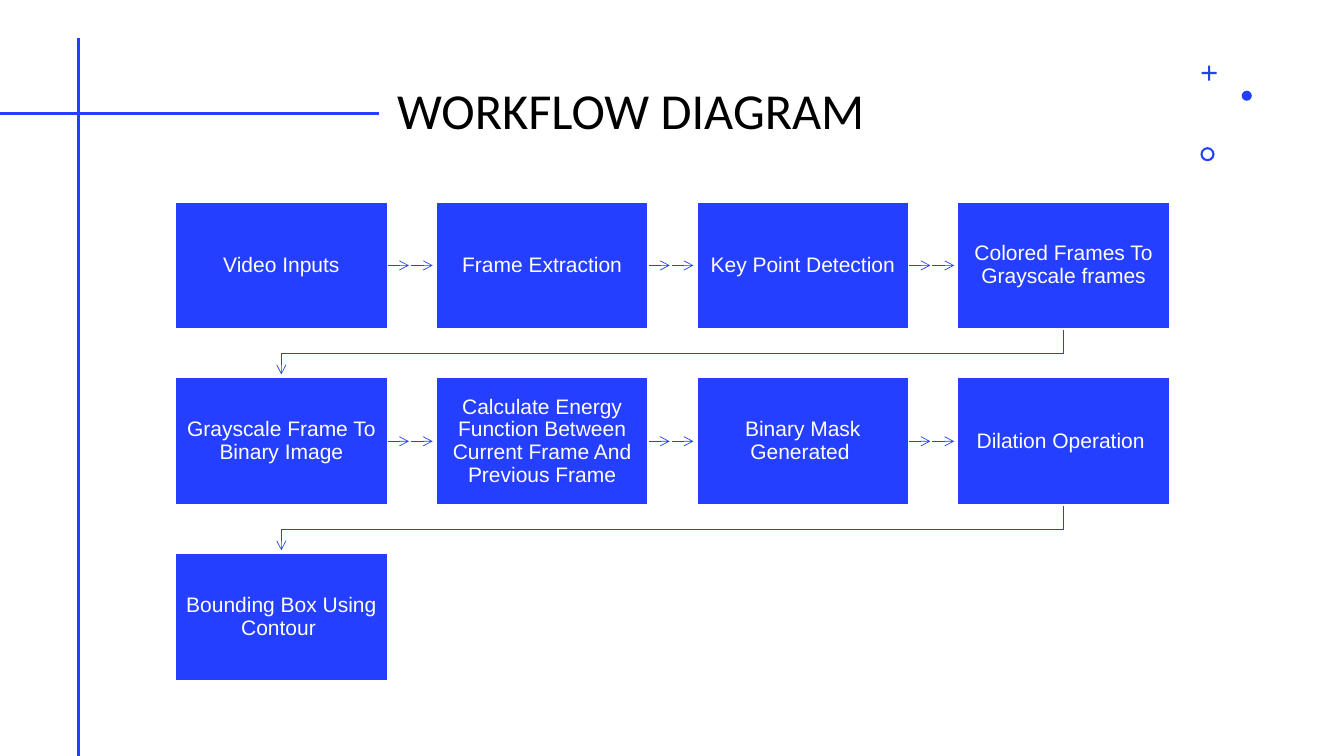
from dataclasses import dataclass

from lxml import etree
from pptx import Presentation
from pptx.dml.color import RGBColor
from pptx.enum import shapes, text
from pptx.oxml.ns import qn
from pptx.util import Pt


@dataclass(frozen=True)
class Theme:
    blue: RGBColor = RGBColor(0x24, 0x3F, 0xFF)
    white: RGBColor = RGBColor(0xFF, 0xFF, 0xFF)
    black: RGBColor = RGBColor(0, 0, 0)
    title_font: str = "Calibri"
    step_font: str = "Arial"
    title_size: float = 36
    step_size: float = 15
    rule_width: float = 2
    arrow_width: float = 0.5


@dataclass(frozen=True)
class Grid:
    left: float = 125.28
    top: float = 144.2
    width: float = 151.4
    height: float = 90.8
    column_pitch: float = 186.24
    row_pitch: float = 125.64
    columns: int = 4

    def corner(self, index: int) -> tuple[float, float]:
        row, column = divmod(index, self.columns)
        return self.left + column * self.column_pitch, self.top + row * self.row_pitch


@dataclass(frozen=True)
class Ornament:
    preset: shapes.MSO_SHAPE
    left: float
    top: float
    size: float
    adjustment: float | None = None


THEME = Theme()
GRID = Grid()
ARROW_SPANS = ((0, 15.4), (16.9, 32.4))
TURN_DROP, TURN_END = 17.6, 32.4

STEPS = (
    "Video Inputs",
    "Frame Extraction",
    "Key Point Detection",
    "Colored Frames To Grayscale frames",
    "Grayscale Frame To Binary Image",
    "Calculate Energy Function Between Current Frame And Previous Frame",
    "Binary Mask Generated ",
    "Dilation Operation ",
    "Bounding Box Using Contour ",
)

ORNAMENTS = (
    Ornament(shapes.MSO_SHAPE.CROSS, 858.3, 46.8, 10.8, 0.43),
    Ornament(shapes.MSO_SHAPE.OVAL, 887, 64.8, 7.2),
    Ornament(shapes.MSO_SHAPE.DONUT, 857.5, 105.1, 10.1, 0.15),
)


def write(shape, words: str, *, font: str, size: float, color: RGBColor,
          align=text.PP_ALIGN.LEFT) -> None:
    frame = shape.text_frame
    frame.word_wrap = True
    frame.auto_size = text.MSO_AUTO_SIZE.NONE
    frame.vertical_anchor = text.MSO_ANCHOR.MIDDLE
    frame.text = words
    paragraph = frame.paragraphs[0]
    paragraph.alignment = align
    paragraph.line_spacing = 0.9
    paragraph.font.name = font
    paragraph.font.size = Pt(size)
    paragraph.font.color.rgb = color


def style_line(shape, width: float, arrow: bool = False) -> None:
    shape.line.color.rgb = THEME.blue
    shape.line.width = Pt(width)
    properties = shape.element.spPr
    if arrow:
        etree.SubElement(properties.get_or_add_ln(), qn("a:tailEnd"), type="arrow")
    etree.SubElement(properties, qn("a:effectLst"))


def add_line(slide, x1: float, y1: float, x2: float, y2: float,
             width: float, arrow: bool = False) -> None:
    line = slide.shapes.add_connector(
        shapes.MSO_CONNECTOR.STRAIGHT, Pt(x1), Pt(y1), Pt(x2), Pt(y2))
    style_line(line, width, arrow)


def add_filled(slide, preset: shapes.MSO_SHAPE, left: float, top: float,
               width: float, height: float):
    shape = slide.shapes.add_shape(preset, Pt(left), Pt(top), Pt(width), Pt(height))
    shape.shadow.inherit = False
    shape.fill.solid()
    shape.fill.fore_color.rgb = THEME.blue
    shape.line.fill.background()
    return shape


def add_ornament(slide, ornament: Ornament) -> None:
    shape = add_filled(slide, ornament.preset, ornament.left, ornament.top,
                       ornament.size, ornament.size)
    if ornament.adjustment is not None:
        shape.adjustments[0] = ornament.adjustment


def add_step(slide, index: int, words: str) -> None:
    step = add_filled(slide, shapes.MSO_SHAPE.RECTANGLE, *GRID.corner(index),
                      GRID.width, GRID.height)
    step.line.color.rgb = THEME.white
    step.line.width = Pt(1)
    frame = step.text_frame
    frame.margin_left = frame.margin_right = Pt(7.4)
    frame.margin_top = frame.margin_bottom = Pt(7.8)
    write(step, words, font=THEME.step_font, size=THEME.step_size,
          color=THEME.white, align=text.PP_ALIGN.CENTER)


def add_link(slide, index: int) -> None:
    """Link a step to the next: a double arrow, or a turn at the end of a row."""
    left, top = GRID.corner(index)
    if (index + 1) % GRID.columns:
        right, middle = left + GRID.width, top + GRID.height / 2
        for start, end in ARROW_SPANS:
            add_line(slide, right + start, middle, right + end, middle,
                     THEME.arrow_width, arrow=True)
        return
    bottom = top + GRID.height
    start_x, end_x = left + GRID.width / 2, GRID.left + GRID.width / 2
    builder = slide.shapes.build_freeform(Pt(start_x), Pt(bottom))
    corners = ((start_x, bottom + TURN_DROP), (end_x, bottom + TURN_DROP),
               (end_x, bottom + TURN_END))
    builder.add_line_segments([(Pt(x), Pt(y)) for x, y in corners], close=False)
    turn = builder.convert_to_shape()
    turn.fill.background()
    style_line(turn, THEME.arrow_width, arrow=True)


def main() -> None:
    deck = Presentation()
    deck.slide_width, deck.slide_height = Pt(960), Pt(540)
    slide = deck.slides.add_slide(deck.slide_layouts[5])

    # Title with its crossing rules
    add_line(slide, 56.2, 27.5, 56.2, 540, THEME.rule_width)
    add_line(slide, 0, 81, 270.5, 81, THEME.rule_width)
    title = slide.shapes.title
    title.left, title.top, title.width, title.height = map(Pt, (276.5, 28.8, 563.8, 104.4))
    write(title, "WORKFLOW DIAGRAM", font=THEME.title_font,
          size=THEME.title_size, color=THEME.black)

    # Corner ornaments
    for ornament in ORNAMENTS:
        add_ornament(slide, ornament)

    # Workflow: links lie behind the steps
    for index in range(len(STEPS) - 1):
        add_link(slide, index)
    for index, words in enumerate(STEPS):
        add_step(slide, index, words)

    deck.save("out.pptx")


if __name__ == "__main__":
    main()
